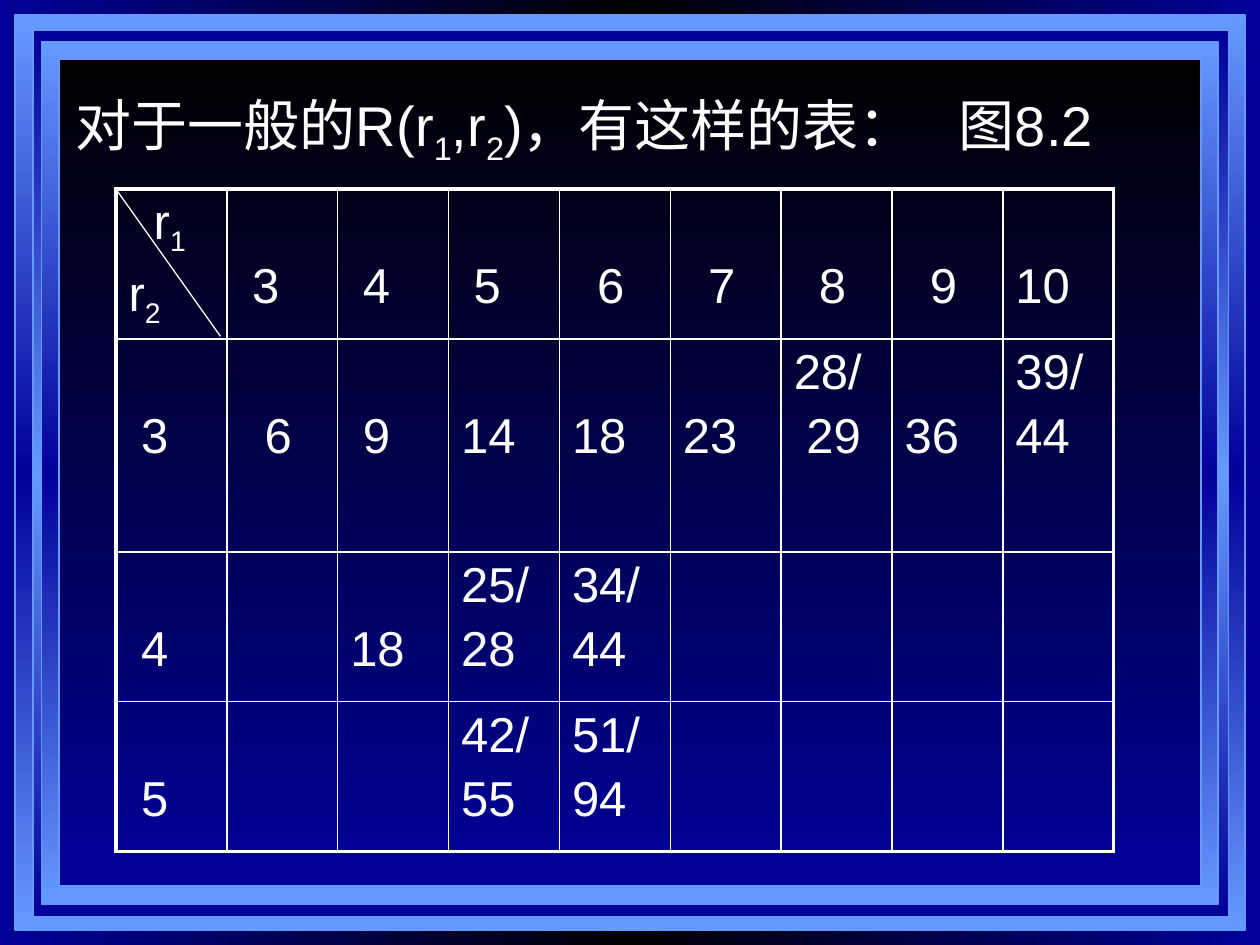
from lxml import etree
from pptx import Presentation
from pptx import util as u
from pptx.dml.color import RGBColor
from pptx.enum import shapes, text
from pptx.oxml.ns import qn

WHITE, BLACK, NAVY, SKY = "FFFFFF", "000000", "000099", "6699FF"
STEP = 0.1  # indent for each leading ">" in a line


def color(code):
    return RGBColor.from_string(code)


def write(frame, lines, size=28, font="Arial", ink=WHITE, gap=5.2):
    """Fill a frame; "_" lowers the next character or widens the next space."""
    frame.word_wrap = True
    for i, line in enumerate(lines):
        para = frame.paragraphs[0] if i == 0 else frame.add_paragraph()
        para.alignment = text.PP_ALIGN.LEFT
        para.space_before = u.Pt(gap if i else 0)
        body = line.lstrip(">")
        props = para._p.get_or_add_pPr()
        props.set("marL", str(u.Inches(STEP * (len(line) - len(body)))))
        props.set("indent", "0")
        first, *rest = body.split("_")
        parts = [(first, False)]
        for piece in rest:
            parts += [(piece[0], True), (piece[1:], False)]
        for words, marked in parts:
            if not words:
                continue
            run = para.add_run()
            run.text = words
            run.font.size = u.Pt(size)
            run.font.name = font
            run.font.color.rgb = color(ink)
            if marked and words == " ":
                run.font._element.set("spc", "1780")
            elif marked:
                run.font._element.set("baseline", "-25000")


def blend(fill, root, codes, angle):
    """Give a fill evenly spaced gradient stops."""
    fill.gradient()
    fill.gradient_angle = angle
    stops = root.find(".//" + qn("a:gsLst"))
    for old in list(stops):
        stops.remove(old)
    for i, code in enumerate(codes):
        pos = str(100000 * i // (len(codes) - 1))
        stop = etree.SubElement(stops, qn("a:gs"), pos=pos)
        etree.SubElement(stop, qn("a:srgbClr"), val=code)


class Deck:
    def __init__(self):
        self.prs = Presentation()
        self.prs.slide_width, self.prs.slide_height = u.Inches(10), u.Inches(7.5)
        self.slide = self.prs.slides.add_slide(self.prs.slide_layouts[5])
        self.items = self.slide.shapes

    def back(self, codes, angle=0):
        blend(self.slide.background.fill, self.slide.element, codes, angle)

    def panel(self, box, codes, angle=270):
        rect = self.items.add_shape(shapes.MSO_SHAPE.RECTANGLE, *map(u.Inches, box))
        rect.shadow.inherit = False
        blend(rect.fill, rect.element, codes, angle)
        rect.line.color.rgb = color(SKY)
        rect.line.width = u.Pt(1)

    def title(self, words, box):
        head = self.items.title
        head.left, head.top, head.width, head.height = map(u.Inches, box)
        frame = head.text_frame
        frame.vertical_anchor = text.MSO_ANCHOR.TOP
        frame.auto_size = text.MSO_AUTO_SIZE.NONE
        write(frame, [words], size=32)
        self.items._spTree.append(head.element)  # bring in front of the panels

    def edge(self, cell, sides):
        props = cell._tc.get_or_add_tcPr()
        for i, (side, width) in enumerate(sides.items()):
            line = etree.Element(qn("a:ln" + side), w=str(u.Pt(width)))
            fill = etree.SubElement(line, qn("a:solidFill"))
            etree.SubElement(fill, qn("a:srgbClr"), val=WHITE)
            props.insert(i, line)

    def table(self, rows, left, top, wide, highs):
        count, last = len(rows[0]), len(rows) - 1
        grid = self.items.add_table(
            len(rows), count, u.Inches(left), u.Inches(top),
            u.Inches(wide * count), u.Inches(sum(highs))).table
        grid.first_row = grid.horz_banding = False
        for col in grid.columns:
            col.width = u.Inches(wide)
        for r, row in enumerate(rows):
            grid.rows[r].height = u.Inches(highs[r])
            for c, words in enumerate(row):
                cell = grid.cell(r, c)
                lines = words.split("|")
                cell.fill.background()
                # Single values sit on the second line of the cell
                cell.margin_top = u.Inches(0.56 if len(lines) == 1 else 0.05)
                write(cell.text_frame, lines)
                outer = {"L": c == 0, "R": c == count - 1, "T": r == 0, "B": r == last}
                self.edge(cell, {s: 2.25 if out else 1 for s, out in outer.items()})

    def line(self, start, end, width):
        link = self.items.add_connector(
            shapes.MSO_CONNECTOR.STRAIGHT, *map(u.Inches, start + end))
        link.line.color.rgb = color(WHITE)
        link.line.width = u.Pt(width)
        etree.SubElement(link.element.spPr, qn("a:effectLst"))


deck = Deck()

# Background and nested frame
deck.back([NAVY, BLACK, NAVY])
for box, codes in [
    ((0.12, 0.12, 9.76, 7.26), [SKY, NAVY, SKY]),
    ((0.26, 0.24, 9.49, 7.04), [NAVY, SKY, NAVY]),
    ((0.33, 0.33, 9.34, 6.85), [SKY, NAVY, SKY]),
    ((0.47, 0.47, 9.06, 6.56), [BLACK, NAVY]),
]:
    deck.panel(box, codes)

# Heading
deck.title("对于一般的R(r_1,r_2)，有这样的表：_ 图8.2", (0.5, 0.67, 8.92, 0.75))

# Table
rows = [
    [">>r_1|r_2", ">3", ">4", ">5", ">>6", ">>7", ">>8", ">>9", "10"],
    [">3", ">>6", ">9", "14", "18", "23", "28/|>29", "36", "39/|44"],
    [">4", "", "18", "25/|28", "34/|44", "", "", "", ""],
    [">5", "", "", "42/|55", "51/|94", "", "", "", ""],
]
deck.table(rows, 0.92, 1.5, 0.88, [1.19, 1.69, 1.19, 1.19])

# Diagonal of the corner cell
deck.line((0.92, 1.5), (1.75, 2.67), 0.75)

deck.prs.save("out.pptx")
